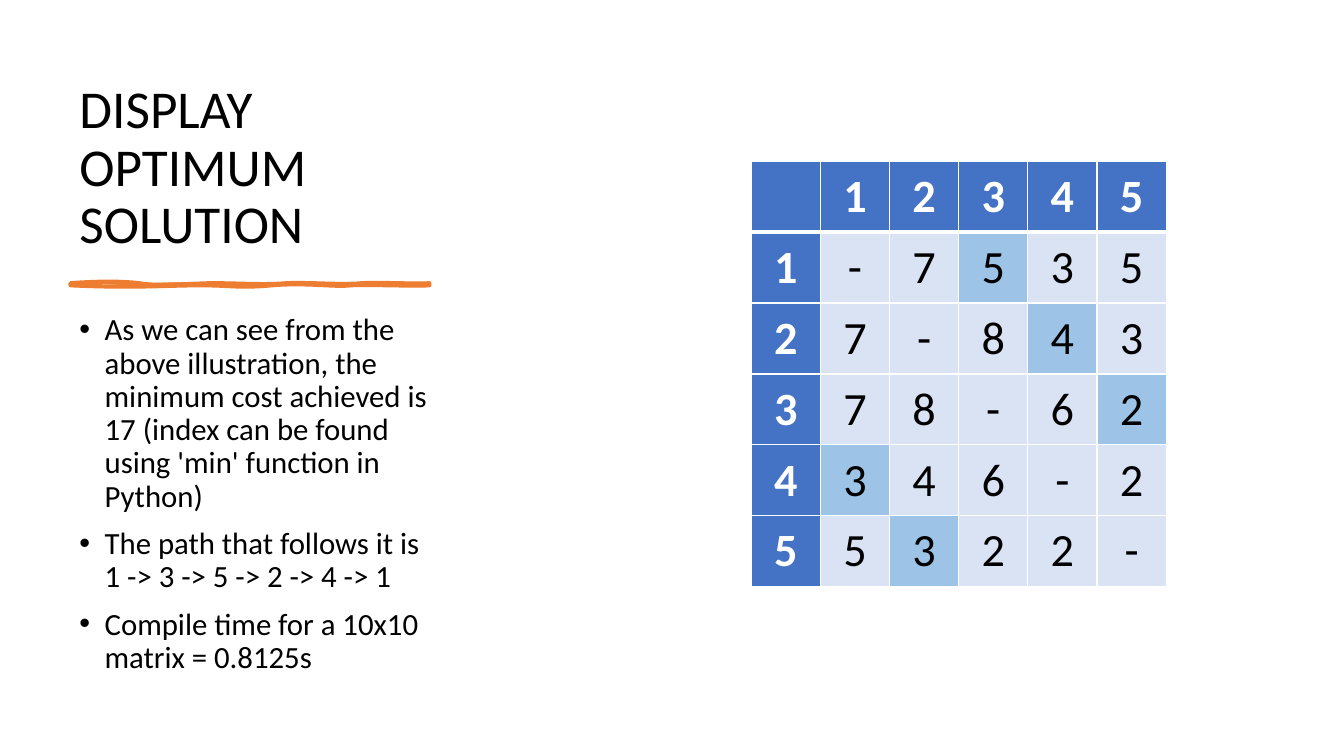
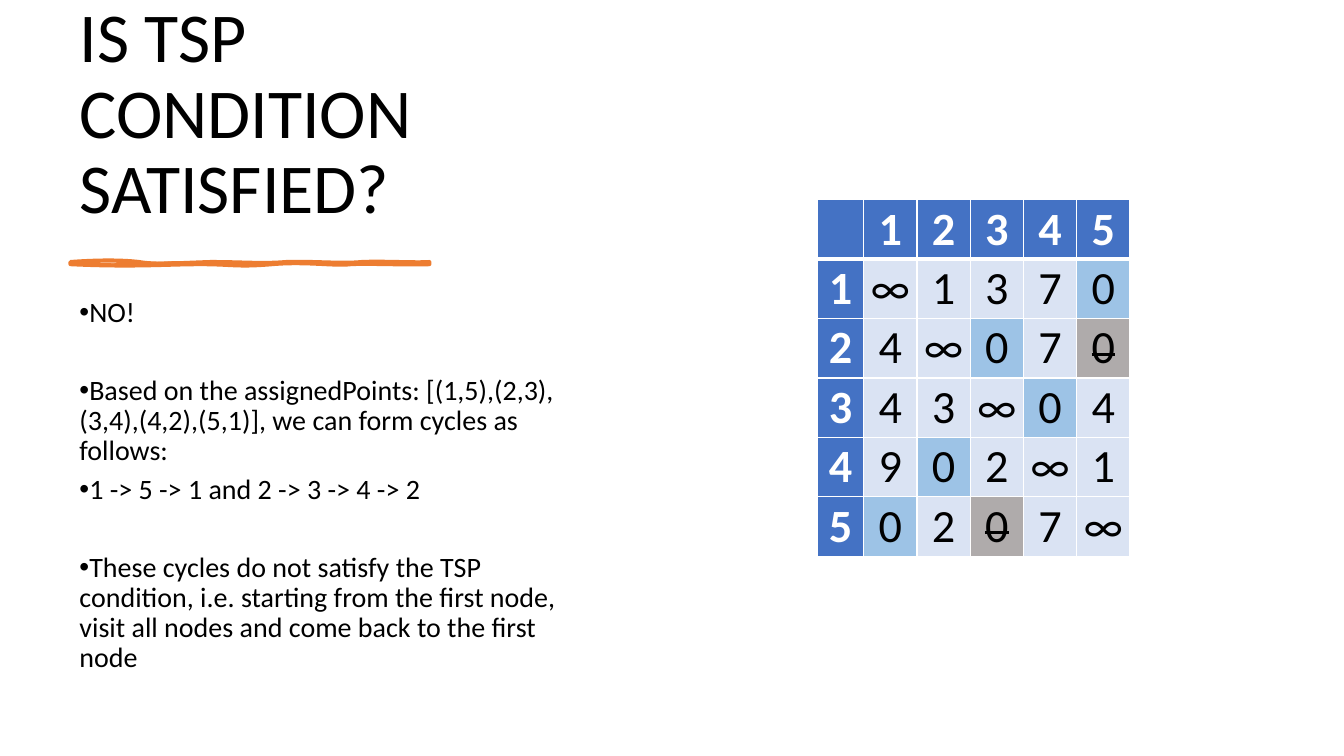
from copy import deepcopy
from dataclasses import dataclass

from lxml.etree import SubElement as Sub
from pptx import Presentation
from pptx.dml.color import RGBColor as RGB
from pptx.enum.text import MSO_ANCHOR as Anchor, PP_ALIGN as Align
from pptx.oxml.ns import qn
from pptx.util import Emu, Pt

SCALE = 9144  # EMU in one px, at 100 px to the inch


@dataclass(frozen=True)
class Theme:
    font: str = "Calibri"
    ink: str = "000000"
    white: str = "FFFFFF"
    accent: str = "ED7D31"
    head: str = "4472C4"
    plain: str = "DAE3F3"
    pick: str = "9DC3E6"
    drop: str = "AFABAB"
    cell: int = 33
    leading: float = 0.9
    left: int = 69
    top: int = 70
    thin: int = 1
    thick: int = 3


# Brush stroke: cubic segments (two controls, end) from START, closed
START = (70, 0)
EDGE = [
    (97, -2, 121, -2, 138, 0), (155, 3, 177, 1, 209, 0),
    (241, 0, 260, 2, 284, 0), (308, -1, 339, 2, 359, 0),
    (379, -1, 412, 1, 426, 0), (426, 1, 426, 2, 426, 2),
    (408, 3, 364, 1, 348, 2), (332, 4, 304, -1, 270, 2),
    (235, 5, 231, 2, 199, 2), (166, 2, 132, 5, 70, 2),
    (70, 2, 70, 1, 70, 0),
]
CORE = [
    (102, 3, 110, 1, 138, 0), (166, 0, 169, -2, 199, 0),
    (228, 3, 261, 2, 277, 0), (293, -1, 327, 3, 344, 0),
    (362, -2, 397, 4, 426, 0), (426, 1, 426, 2, 426, 2),
    (412, 2, 372, 5, 355, 2), (338, 0, 309, 3, 277, 2),
    (244, 2, 240, 1, 216, 2), (193, 4, 179, 2, 145, 2),
    (111, 3, 92, 2, 70, 2), (70, 2, 70, 1, 70, 0),
]


def px(n):
    return Emu(round(n * SCALE))


def bend(line, curve):
    """Turn a straight segment, ending at START's origin, into a cubic."""
    line.tag = qn("a:cubicBezTo")
    for old in list(line):
        line.remove(old)
    for x, y in zip(curve[::2], curve[1::2]):
        Sub(line, qn("a:pt"), x=str(px(x - START[0])), y=str(px(y)))


class Deck:
    def __init__(self, theme):
        self.theme = theme
        self.prs = Presentation()
        self.prs.slide_width, self.prs.slide_height = px(4000 / 3), px(750)

    def slide(self):
        page = self.prs.slides.add_slide(self.prs.slide_layouts[6])
        self.shapes = page.shapes

    def run(self, para, text, size, color=None, bold=False):
        run = para.add_run()
        run.text = text
        font = run.font
        font.name, font.size, font.bold = self.theme.font, Pt(size), bold
        font.color.rgb = RGB.from_string(color or self.theme.ink)
        return run

    def box(self, top, width, height):
        spot = map(px, (self.theme.left, top, width, height))
        frame = self.shapes.add_textbox(*spot).text_frame
        frame.word_wrap = True
        return frame

    def title(self, lines, size, width, height):
        frame = self.box(self.theme.top, width, height)
        frame.vertical_anchor = Anchor.BOTTOM
        para = frame.paragraphs[0]
        para.line_spacing = self.theme.leading
        for i, line in enumerate(lines):
            if i:
                para.add_line_break()
            self.run(para, line, size)

    def list(self, items, size, top, width, height, indent=0, before=0):
        """Add bullets; each item is its text and the space after it."""
        frame = self.box(top, width, height)
        for i, (text, after) in enumerate(items):
            para = frame.add_paragraph() if i else frame.paragraphs[0]
            para.line_spacing = self.theme.leading
            para.space_before, para.space_after = Pt(before), Pt(after)
            props = para._p.get_or_add_pPr()
            props.set("marL", str(px(indent)))
            props.set("indent", str(px(-25)))
            Sub(props, qn("a:buFont"), typeface="Arial")
            Sub(props, qn("a:buChar"), char="•")
            self.run(para, text, size)

    def brush(self, top):
        """Draw a stroked edge over a filled core in one shape."""
        def spot(x, y):
            return px(x), px(top + y)

        pen = self.shapes.build_freeform(*spot(*START), scale=1.0)
        pen.add_line_segments([spot(*c[4:]) for c in EDGE])
        pen.move_to(*spot(*START))
        pen.add_line_segments([spot(*c[4:]) for c in CORE])
        shape = pen.convert_to_shape()
        shape.shadow.inherit = False
        color = RGB.from_string(self.theme.accent)
        shape.fill.solid()
        shape.fill.fore_color.rgb = color
        shape.line.color.rgb = color
        shape.line.width = Pt(self.theme.thick)

        edge = shape._element.xpath(".//a:path")[0]
        for line, curve in zip(edge.findall(qn("a:lnTo")), EDGE + CORE):
            bend(line, curve)
        core = deepcopy(edge)
        edge.addnext(core)
        cut = list(edge).index(edge.findall(qn("a:moveTo"))[1])
        for part in list(edge)[cut:]:
            edge.remove(part)
        for part in list(core)[:cut]:
            core.remove(part)
        edge.set("fill", "none")
        core.set("stroke", "0")

    def rule(self, cell, row):
        """Give a cell white borders, thick below the head row."""
        theme = self.theme
        heavy = {("B", 0), ("T", 1)}
        props = cell._tc.get_or_add_tcPr()
        for side in "LRTB":
            wide = theme.thick if (side, row) in heavy else theme.thin
            line = Sub(props, qn("a:ln" + side), w=str(Pt(wide)))
            fill = Sub(line, qn("a:solidFill"))
            Sub(fill, qn("a:srgbClr"), val=theme.white)

    def grid(self, rows, left, top, width, height, first, picks, drops=()):
        """Add a cost matrix; picks and drops are (row, column) pairs."""
        theme = self.theme
        count = len(rows) + 1
        spot = map(px, (left, top, width, height))
        table = self.shapes.add_table(count, count, *spot).table
        table.first_col, table.horz_banding = True, False
        for i in range(count):
            table.rows[i].height = px(height / count)
            rest = (width - first) / (count - 1)
            table.columns[i].width = px(rest if i else first)
        heads = [""] + [str(i) for i in range(1, count)]
        full = [heads] + [[h, *row] for h, row in zip(heads[1:], rows)]
        for r, row in enumerate(full):
            for c, text in enumerate(row):
                cell = table.cell(r, c)
                head, drop = r == 0 or c == 0, (r, c) in drops
                tint = (theme.head if head else theme.drop if drop
                        else theme.pick if (r, c) in picks else theme.plain)
                self.rule(cell, r)
                cell.fill.solid()
                cell.fill.fore_color.rgb = RGB.from_string(tint)
                cell.margin_left = cell.margin_right = 0
                cell.margin_top = cell.margin_bottom = 0
                cell.vertical_anchor = Anchor.MIDDLE
                if not text:
                    continue
                para = cell.text_frame.paragraphs[0]
                para.alignment = Align.CENTER
                color = theme.white if head else theme.ink
                run = self.run(para, text, theme.cell, color, head)
                if drop:
                    run.font._element.set("strike", "sngStrike")


def main():
    deck = Deck(Theme())

    deck.slide()
    deck.title(["DISPLAY", "OPTIMUM SOLUTION"], 38, 375, 188)
    deck.brush(281)
    deck.list([
        ("As we can see from the above illustration, the minimum cost "
         "achieved is 17 (index can be found using 'min' function in "
         "Python)", 0),
        ("The path that follows it is 1 -> 3 -> 5 -> 2 -> 4 -> 1", 0),
        ("Compile time for a 10x10 matrix = 0.8125s", 0),
    ], 22, 307, 375, 373, indent=25, before=10)
    deck.grid(["-7535", "7-843", "78-62", "346-2", "5322-"],
              745, 160, 412, 422, 69,
              picks={(1, 3), (2, 4), (3, 5), (4, 1), (5, 2)})

    deck.slide()
    deck.title(["IS TSP CONDITION SATISFIED?"], 50, 527, 162)
    deck.brush(260)
    deck.list([
        ("NO!", 34),
        ("Based on the assignedPoints: [(1,5),(2,3),(3,4),(4,2),(5,1)], "
         "we can form cycles as follows:", 6),
        ("1 -> 5 -> 1 and 2 -> 3 -> 4 -> 2", 34),
        ("These cycles do not satisfy the TSP condition, i.e. starting "
         "from the first node, visit all nodes and come back to the first "
         "node", 6),
    ], 20, 291, 527, 388)
    deck.grid(["∞1370", "4∞070", "43∞04", "902∞1", "0207∞"],
              811, 198, 310, 354, 46,
              picks={(1, 5), (2, 3), (3, 4), (4, 2), (5, 1)},
              drops={(2, 5), (5, 3)})

    deck.prs.save("out.pptx")


if __name__ == "__main__":
    main()
